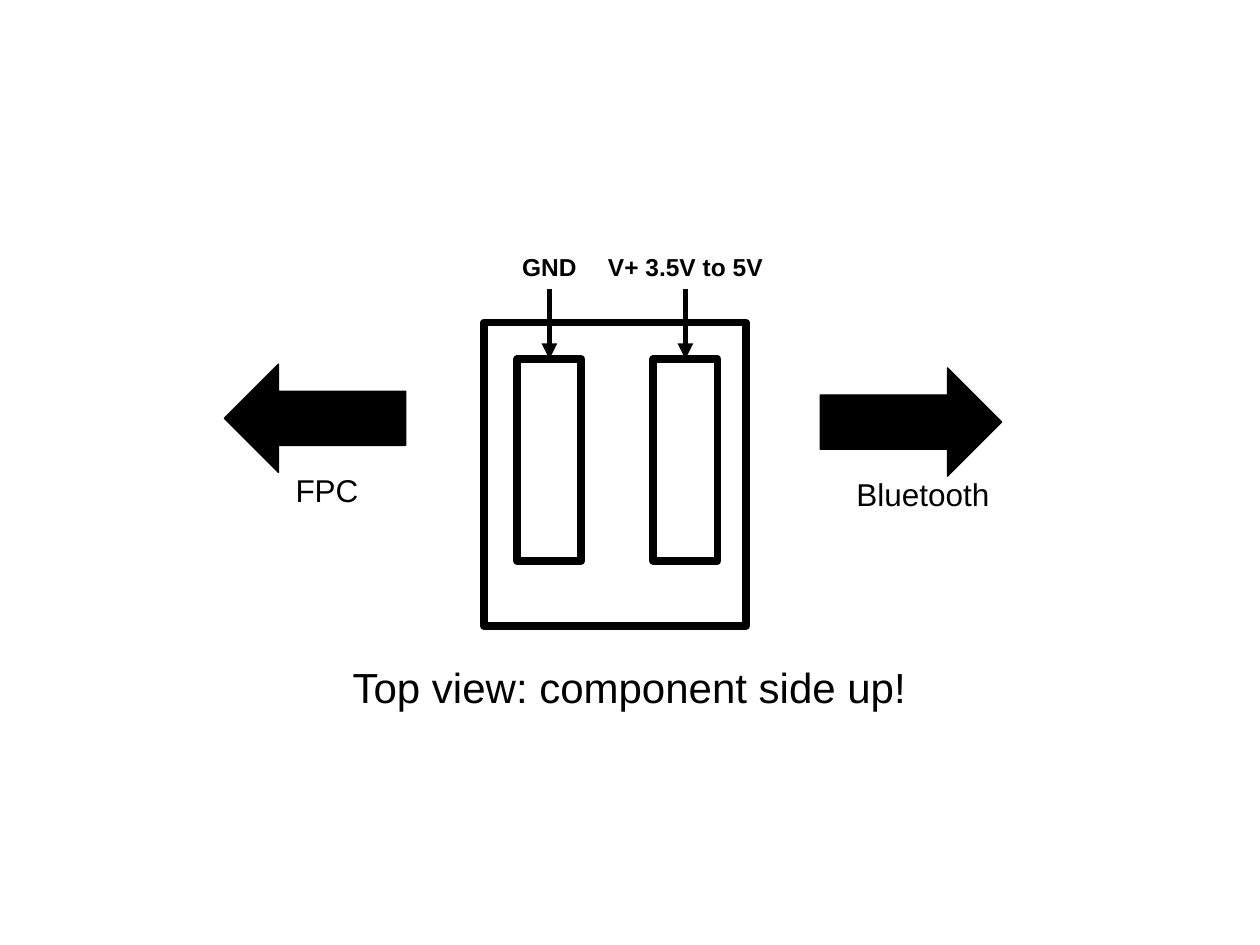
from pptx import Presentation
from pptx.dml.color import RGBColor
from pptx.enum.shapes import MSO_CONNECTOR, MSO_SHAPE
from pptx.enum.text import MSO_AUTO_SIZE, PP_ALIGN
from pptx.oxml.ns import qn
from pptx.util import Inches, Pt
from lxml import etree

RECT = MSO_SHAPE.RECTANGLE
LEFT_ARROW, RIGHT_ARROW = MSO_SHAPE.LEFT_ARROW, MSO_SHAPE.RIGHT_ARROW
STRAIGHT = MSO_CONNECTOR.STRAIGHT
CENTER, LEFT = PP_ALIGN.CENTER, PP_ALIGN.LEFT
FIT_SHAPE = MSO_AUTO_SIZE.SHAPE_TO_FIT_TEXT
TOP, BOTTOM = 0, 2

THEME = {
    "font": "Arial", "ink": RGBColor(0, 0, 0),
    "pin_size": 14, "side_size": 18, "caption_size": 24,
    "outline": 4.5, "pointer": 3, "hairline": 0.75,
}

# Content: pads as (label, centre x); sides as (label, arrow, left, top)
PADS = [("V+ 3.5V to 5V", 5.44), ("GND", 4.36)]
SIDES = [("FPC", LEFT_ARROW, 1.78, 2.89), ("Bluetooth", RIGHT_ARROW, 6.51, 2.92)]
CAPTION = "Top view: component side up!"

# Geometry in inches
BOARD = (3.84, 2.56, 2.08, 2.41)
PAD_TOP, PAD_W, PAD_H = 2.85, 0.51, 1.6
PIN_TOP, PIN_W, PIN_H = 1.95, 2.11, 0.34
ARROW_W, ARROW_H = 1.44, 0.86
SIDE_DX, SIDE_DY, SIDE_W, SIDE_H = -0.04, 0.8, 1.71, 0.4
CAPTION_BOX = (2.7, 5.2, 4.71, 0.5)


def add_shape(s, kind, box, width, filled=False):
    sp = s.shapes.add_shape(kind, *map(Inches, box))
    sp.shadow.inherit = False
    if filled:
        sp.fill.solid()
        sp.fill.fore_color.rgb = THEME["ink"]
    else:
        sp.fill.background()
    sp.line.color.rgb = THEME["ink"]
    sp.line.width = Pt(width)
    return sp


def add_text(s, text, box, size, align=CENTER, bold=False):
    sp = s.shapes.add_textbox(*map(Inches, box))
    tf = sp.text_frame
    tf.word_wrap = True
    tf.auto_size = FIT_SHAPE
    p = tf.paragraphs[0]
    p.alignment = align
    r = p.add_run()
    r.text = text
    r.font.name = THEME["font"]
    r.font.size = Pt(size)
    r.font.bold = bold
    r.font.color.rgb = THEME["ink"]
    return sp


def add_pointer(s, label, pad):
    line = s.shapes.add_connector(STRAIGHT, 0, 0, 0, 0)
    line.begin_connect(label, BOTTOM)
    line.end_connect(pad, TOP)
    line.line.color.rgb = THEME["ink"]
    line.line.width = Pt(THEME["pointer"])
    etree.SubElement(line.line._get_or_add_ln(), qn("a:tailEnd"), type="triangle")
    etree.SubElement(line._element.spPr, qn("a:effectLst"))


def main():
    prs = Presentation()
    prs.slide_width, prs.slide_height = Inches(10), Inches(7.5)
    s = prs.slides.add_slide(prs.slide_layouts[6])

    # Pads with their labels and pointers
    for text, x in PADS:
        pad = add_shape(s, RECT, (x - PAD_W / 2, PAD_TOP, PAD_W, PAD_H), THEME["outline"])
        label = add_text(s, text, (x - PIN_W / 2, PIN_TOP, PIN_W, PIN_H),
                         THEME["pin_size"], bold=True)
        add_pointer(s, label, pad)

    # Board outline
    add_shape(s, RECT, BOARD, THEME["outline"])

    # Direction arrows with labels below
    for text, arrow, x, y in SIDES:
        add_shape(s, arrow, (x, y, ARROW_W, ARROW_H), THEME["hairline"], filled=True)
        add_text(s, text, (x + SIDE_DX, y + SIDE_DY, SIDE_W, SIDE_H), THEME["side_size"])

    # Caption
    add_text(s, CAPTION, CAPTION_BOX, THEME["caption_size"], LEFT)

    prs.save("out.pptx")


if __name__ == "__main__":
    main()
